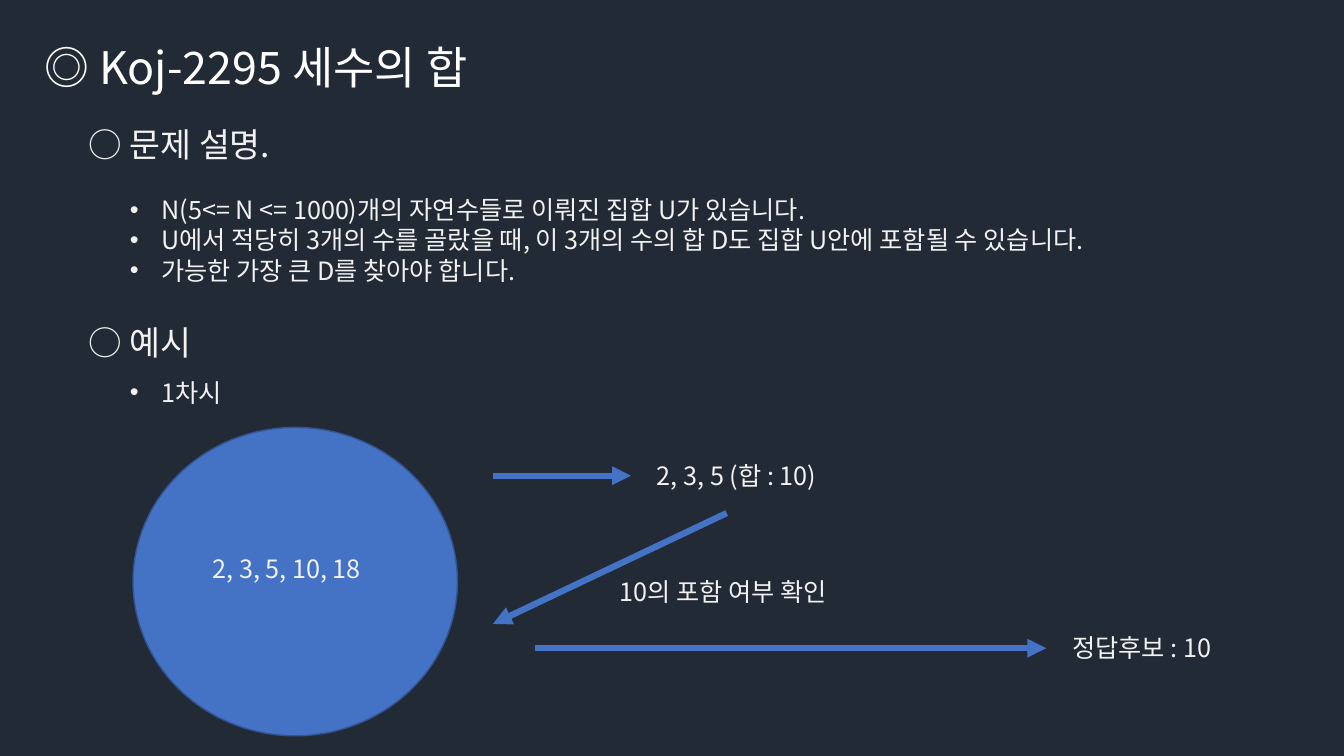
from lxml import etree
from pptx import Presentation
from pptx.dml.color import RGBColor
from pptx.enum.shapes import MSO_CONNECTOR, MSO_SHAPE
from pptx.enum.text import MSO_AUTO_SIZE
from pptx.oxml.ns import qn
from pptx.util import Pt

STRAIGHT = MSO_CONNECTOR.STRAIGHT
OVAL = MSO_SHAPE.OVAL
FIT_SHAPE = MSO_AUTO_SIZE.SHAPE_TO_FIT_TEXT

FONT = "Noto Sans CJK KR"
BACKGROUND, WHITE, LIGHT = "222A35", "FFFFFF", "F2F2F2"
BLUE, DARK_BLUE = "4472C4", "325491"

TITLE = {"size": Pt(32), "name": FONT}
HEADING = {"size": Pt(24), "name": FONT}
BODY = {"size": Pt(18), "name": FONT}

BULLET_INDENT = Pt(22.5)
HEADING_LEFT, BULLET_LEFT = 56.2, 85.7
HEADING_WIDTH, BULLET_WIDTH = 186.5, 787.7
LINE_HEIGHT = 29


def color(hex_string):
    return RGBColor.from_string(hex_string)


def add_bullet(paragraph):
    properties = paragraph._p.get_or_add_pPr()
    properties.set("marL", str(BULLET_INDENT))
    properties.set("indent", str(-BULLET_INDENT))
    etree.SubElement(properties, qn("a:buFont"), typeface="Arial")
    etree.SubElement(properties, qn("a:buChar"), char="•")


def add_text(slide, box, lines, style=BODY, font_color=LIGHT, bulleted=False):
    shape = slide.shapes.add_textbox(*map(Pt, box))
    frame = shape.text_frame
    frame.word_wrap = True
    frame.auto_size = FIT_SHAPE
    frame.text = "\n".join(lines)
    for paragraph in frame.paragraphs:
        if bulleted:
            add_bullet(paragraph)
        font = paragraph.runs[0].font
        for attribute, value in style.items():
            setattr(font, attribute, value)
        font.color.rgb = color(font_color)
        # Hangul takes its typeface from the East Asian slot
        etree.SubElement(font._element, qn("a:ea"), typeface=FONT)


def add_heading(slide, top, text):
    add_text(slide, (HEADING_LEFT, top, HEADING_WIDTH, 36), [text], HEADING)


def add_bullets(slide, top, lines):
    box = (BULLET_LEFT, top, BULLET_WIDTH, LINE_HEIGHT + 22 * (len(lines) - 1))
    add_text(slide, box, lines, bulleted=True)


def add_set_circle(slide, box):
    circle = slide.shapes.add_shape(OVAL, *map(Pt, box))
    circle.shadow.inherit = False
    circle.fill.solid()
    circle.fill.fore_color.rgb = color(BLUE)
    circle.line.color.rgb = color(DARK_BLUE)
    circle.line.width = Pt(1)


def add_arrow(slide, start, end):
    arrow = slide.shapes.add_connector(STRAIGHT, *map(Pt, start + end))
    arrow.line.color.rgb = color(BLUE)
    arrow.line.width = Pt(4.5)
    etree.SubElement(arrow.line._get_or_add_ln(), qn("a:tailEnd"), type="triangle")
    etree.SubElement(arrow._element.spPr, qn("a:effectLst"))


def main():
    presentation = Presentation()
    presentation.slide_width, presentation.slide_height = Pt(960), Pt(540)
    slide = presentation.slides.add_slide(presentation.slide_layouts[6])
    slide.background.fill.solid()
    slide.background.fill.fore_color.rgb = color(BACKGROUND)

    # Title
    add_text(slide, (24.5, 24.5, 654.5, 46), ["◎ Koj-2295 세수의 합"], TITLE, WHITE)

    # Problem description
    add_heading(slide, 85, "○ 문제 설명.")
    add_bullets(slide, 135.4, [
        "N(5<= N <= 1000)개의 자연수들로 이뤄진 집합 U가 있습니다.",
        "U에서 적당히 3개의 수를 골랐을 때, 이 3개의 수의 합 D도 집합 U안에 포함될 수 있습니다.",
        "가능한 가장 큰 D를 찾아야 합니다.",
    ])

    # Example
    add_heading(slide, 226.1, "○ 예시")
    add_bullets(slide, 265.7, ["1차시"])
    add_set_circle(slide, (95, 305.3, 231.8, 220.3))

    # Arrows: pick three numbers, check the sum, report the candidate
    for start, end in [
        ((352.1, 339.8), (450.7, 339.8)),
        ((519.1, 366.5), (352.1, 445.7)),
        ((382.3, 463), (747.4, 463)),
    ]:
        add_arrow(slide, start, end)

    # Diagram labels
    for left, top, width, text in [
        (144.7, 391.7, 133.9, "2, 3, 5, 10, 18"),
        (462.2, 325.4, 137.5, "2, 3, 5 (합 : 10)"),
        (435.6, 408.2, 187.9, "10의 포함 여부 확인"),
        (758.9, 447.8, 187.9, "정답후보 : 10"),
    ]:
        add_text(slide, (left, top, width, LINE_HEIGHT), [text])

    presentation.save("out.pptx")


main()
